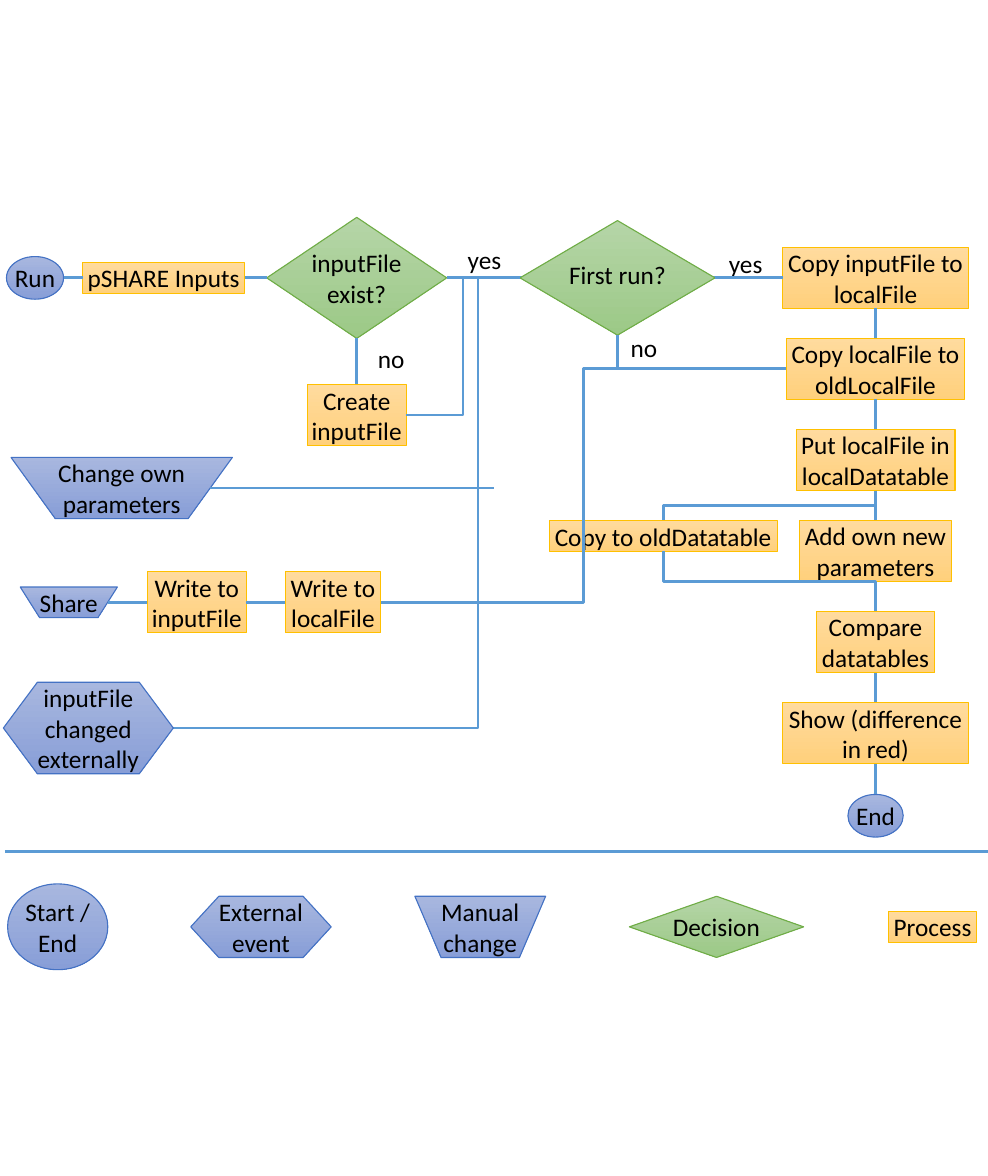
from dataclasses import dataclass

from lxml import etree
from pptx import Presentation
from pptx.dml.color import RGBColor
from pptx.enum.shapes import MSO_CONNECTOR, MSO_SHAPE
from pptx.enum.text import MSO_ANCHOR, PP_ALIGN
from pptx.oxml.ns import qn
from pptx.util import Pt

RECT = MSO_SHAPE.RECTANGLE
OVAL = MSO_SHAPE.OVAL
GEM = MSO_SHAPE.DIAMOND
HEX = MSO_SHAPE.FLOWCHART_PREPARATION
TRAP = MSO_SHAPE.FLOWCHART_MANUAL_OPERATION
STRAIGHT = MSO_CONNECTOR.STRAIGHT
ELBOW = MSO_CONNECTOR.ELBOW
MIDDLE = MSO_ANCHOR.MIDDLE
CENTER = PP_ALIGN.CENTER
TOP, LEFT, BOTTOM, RIGHT = range(4)


@dataclass(frozen=True)
class Theme:
    font: str = "Calibri"
    size: float = 11.6
    ink: str = "000000"
    wire: str = "5B9BD5"
    thick: float = 1.25
    thin: float = 0.5
    blue: tuple = ("A8B7DF", "889ED7", "4472C4")
    green: tuple = ("B5D5A7", "9CC987", "70AD47")
    gold: tuple = ("FFDB9E", "FFD07C", "FFC000")


def rgb(code):
    return RGBColor.from_string(code)


def write(frame, text, font, size, color, side=0, base=0):
    frame.word_wrap = False
    frame.vertical_anchor = MIDDLE
    frame.margin_left = frame.margin_right = Pt(side)
    frame.margin_top, frame.margin_bottom = 0, Pt(base)
    for i, line in enumerate(text.split("\n")):
        para = frame.add_paragraph() if i else frame.paragraphs[0]
        para.alignment = CENTER
        run = para.add_run()
        run.text = line
        run.font.name = font
        run.font.size = Pt(size)
        run.font.color.rgb = rgb(color)


class Chart:
    def __init__(self, slide, theme):
        self.slide = slide
        self.theme = theme

    def text(self, shape, text, **form):
        t = self.theme
        write(shape.text_frame, text, t.font, t.size, t.ink, **form)

    def node(self, kind, text, x, y, w, h, base=0):
        t = self.theme
        shape = self.slide.shapes.add_shape(
            kind, Pt(x - w / 2), Pt(y - h / 2), Pt(w), Pt(h))
        shape.shadow.inherit = False
        first, last, edge = {RECT: t.gold, GEM: t.green}.get(kind, t.blue)
        shape.fill.gradient()
        shape.fill.gradient_angle = 270
        for stop, code in zip(shape.fill.gradient_stops, (first, last)):
            stop.color.rgb = rgb(code)
        shape.line.color.rgb = rgb(edge)
        shape.line.width = Pt(t.thin)
        self.text(shape, text, side=2.2 if kind == RECT else 0, base=base)
        return shape

    def label(self, text, x, y, w=16, h=14):
        box = self.slide.shapes.add_textbox(
            Pt(x - w / 2), Pt(y - h / 2), Pt(w), Pt(h))
        self.text(box, text)

    def line(self, x1, y1, x2, y2, kind=STRAIGHT):
        link = self.slide.shapes.add_connector(
            kind, Pt(x1), Pt(y1), Pt(x2), Pt(y2))
        link.line.color.rgb = rgb(self.theme.wire)
        link.line.width = Pt(self.theme.thick)
        etree.SubElement(link._element.spPr, qn("a:effectLst"))
        return link

    def bend(self, x1, y1, x2, y2):
        return self.line(x1, y1, x2, y2, ELBOW)

    def drop(self, x1, y1, x2, y2):
        x, y = (x1 + x2) / 2, (y1 + y2) / 2
        w, h = (y2 - y1) / 2, (x2 - x1) / 2
        link = self.bend(x - w, y + h, x + w, y - h)
        link._element.spPr.find(qn("a:xfrm")).set("rot", "5400000")

    def join(self, a, out, b, into):
        link = self.line(0, 0, 0, 0)
        link.begin_connect(a, out)
        link.end_connect(b, into)


def main():
    deck = Presentation()
    deck.slide_width, deck.slide_height = Pt(453.6), Pt(540)
    chart = Chart(deck.slides.add_slide(deck.slide_layouts[6]), Theme())
    one, two = 14.1, 28.1
    main_y, share_y, own_y, event_y = 127.6, 276.6, 224.1, 334.3
    exist_x, first_x, old_x, last_x = 163.8, 283.5, 304.5, 402
    step = 41.8
    copy_y = main_y + step

    chart.bend(79.6, event_y, 359.4, main_y)

    chart.node(OVAL, "Run", 16.1, main_y, 26.2, 19.6)
    inputs = chart.node(RECT, "pSHARE Inputs", 75.2, main_y, 74.6, one)
    exist = chart.node(
        GEM, "inputFile\nexist?", exist_x, main_y, 82.6, 55.6)
    first = chart.node(
        GEM, "First run?", first_x, main_y, 89.5, 52.6, base=3.6)
    create = chart.node(
        RECT, "Create\ninputFile", exist_x, 190.6, 45.6, two)

    steps = [
        ("Copy inputFile to\nlocalFile", 85.2),
        ("Copy localFile to\noldLocalFile", 82),
        ("Put localFile in\nlocalDatatable", 73),
        ("Add own new\nparameters", 69.8),
        ("Compare\ndatatables", 54.2),
        ("Show (difference\nin red)", 85.2),
    ]
    flow = [chart.node(RECT, text, last_x, main_y + i * step, w, two)
            for i, (text, w) in enumerate(steps)]
    chart.node(OVAL, "End", last_x, 374.6, 25.4, 19.6)
    chart.node(RECT, "Copy to oldDatatable", old_x, 246.1, 104.7, one)

    chart.node(TRAP, "Change own\nparameters", 55.9, own_y, 101.6, two)
    chart.node(TRAP, "Share", 31.6, share_y, 44.6, one)
    to_input = chart.node(
        RECT, "Write to\ninputFile", 90.4, share_y, 45.4, two)
    to_local = chart.node(
        RECT, "Write to\nlocalFile", 152.9, share_y, 43.8, two)
    chart.node(
        HEX, "inputFile\nchanged\nexternally", 40.6, event_y, 78, 42)

    for text, x, y in [("yes", 222.5, 118.9), ("no", 179.6, 164.4),
                       ("yes", 342.4, 120.8), ("no", 295.7, 159.4)]:
        chart.label(text, x, y)

    for a, b in zip(flow, flow[1:]):
        chart.join(a, BOTTOM, b, TOP)
    for a, b in [(inputs, exist), (exist, first), (first, flow[0]),
                 (to_input, to_local)]:
        chart.join(a, RIGHT, b, LEFT)
    chart.join(exist, BOTTOM, create, TOP)
    chart.line(29.2, main_y, 37.9, main_y).end_connect(inputs, LEFT)
    chart.line(49.7, share_y, 67.7, share_y).end_connect(to_input, LEFT)
    chart.line(last_x, 350.6, last_x, 364.8).begin_connect(flow[-1], BOTTOM)
    chart.line(first_x, 153.9, first_x, copy_y).begin_connect(first, BOTTOM)
    chart.line(96.5, own_y, 226.8, own_y)

    chart.bend(186.6, 190.6, 238.7, main_y)
    chart.bend(174.8, share_y, 361, copy_y)
    chart.drop(last_x, 225.3, old_x, 239)
    chart.drop(old_x, 253.2, last_x, 280.8)

    chart.line(2.2, 391, 453.6, 391)
    for kind, text, x, w, h in [
        (OVAL, "Start /\nEnd", 26.5, 46, 39.4),
        (HEX, "External\nevent", 119.8, 64.5, two),
        (TRAP, "Manual\nchange", 220.5, 60, two),
        (GEM, "Decision", 329, 80, two),
        (RECT, "Process", 428.2, 40.3, one),
    ]:
        chart.node(kind, text, x, 425.6, w, h)

    deck.save("out.pptx")


if __name__ == "__main__":
    main()
